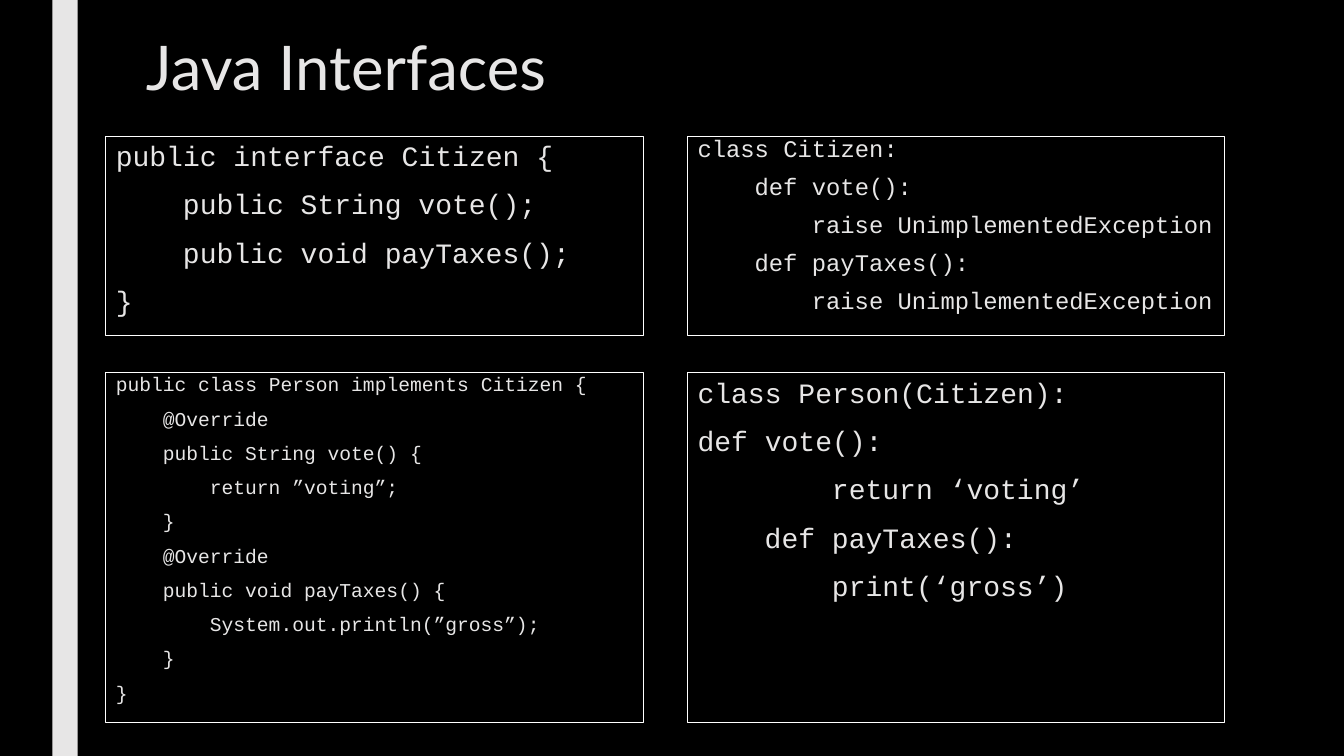
from pptx import Presentation
from pptx.dml.color import RGBColor
from pptx.enum.shapes import MSO_SHAPE
from pptx.enum.text import MSO_ANCHOR, PP_ALIGN
from pptx.util import Inches, Pt

RECTANGLE = MSO_SHAPE.RECTANGLE
TOP = MSO_ANCHOR.TOP
LEFT = PP_ALIGN.LEFT

COLORS = {"background": "000000", "text": "E7E6E6", "border": "FFFFFF"}
TITLE_FONT = "Lato"
CODE_FONT = "Courier New"
CHAR_WIDTH = 0.6  # advance of a monospaced character, in ems

# Grid of code panels
COLUMN_LEFTS = (1.05, 6.82)
PANEL_WIDTH = 5.33
ROWS = ((1.35, 1.98), (3.7, 3.47))  # top, height

JAVA_INTERFACE = """\
public interface Citizen {
    public String vote();
    public void payTaxes();
}"""

JAVA_CLASS = """\
public class Person implements Citizen {
    @Override
    public String vote() {
        return ”voting”;
    }
    @Override
    public void payTaxes() {
        System.out.println(”gross”);
    }
}"""

PYTHON_INTERFACE = """\
class Citizen:
    def vote():
        raise UnimplementedException
    def payTaxes():
        raise UnimplementedException"""

PYTHON_CLASS = """\
class Person(Citizen):
def vote():
        return ‘voting’
    def payTaxes():
        print(‘gross’)"""

# Code, column, row, font size, line spacing
PANELS = (
    (JAVA_INTERFACE, 0, 0, 20, 0.94),
    (JAVA_CLASS, 0, 1, 14, 0.74),
    (PYTHON_INTERFACE, 1, 0, 17, 0.74),
    (PYTHON_CLASS, 1, 1, 20, 0.94),
)


class CodeSlide:
    def __init__(self, presentation):
        self.slide = presentation.slides.add_slide(presentation.slide_layouts[6])
        background = self.slide.background.fill
        background.solid()
        background.fore_color.rgb = self.color("background")

    def color(self, name):
        return RGBColor.from_string(COLORS[name])

    def rectangle(self, left, top, width, height):
        box = self.slide.shapes.add_shape(
            RECTANGLE, Inches(left), Inches(top), Inches(width), Inches(height))
        box.shadow.inherit = False
        return box

    def stripe(self, left, top, width, height):
        stripe = self.rectangle(left, top, width, height)
        stripe.fill.solid()
        stripe.fill.fore_color.rgb = self.color("text")
        stripe.line.fill.background()

    def style(self, paragraph, font, size, spacing):
        paragraph.alignment = LEFT
        paragraph.line_spacing = spacing
        paragraph.font.name = font
        paragraph.font.size = Pt(size)
        paragraph.font.color.rgb = self.color("text")

    def title(self, text, left, top, width, height):
        title = self.slide.shapes.add_textbox(
            Inches(left), Inches(top), Inches(width), Inches(height))
        title.text_frame.word_wrap = True
        paragraph = title.text_frame.paragraphs[0]
        paragraph.text = text
        self.style(paragraph, TITLE_FONT, 44, 0.89)

    def code_panel(self, code, column, row, size, spacing):
        top, height = ROWS[row]
        panel = self.rectangle(COLUMN_LEFTS[column], top, PANEL_WIDTH, height)
        panel.fill.background()
        panel.line.color.rgb = self.color("border")
        panel.line.width = Pt(0.75)
        frame = panel.text_frame
        frame.word_wrap = True
        frame.vertical_anchor = TOP
        for number, line in enumerate(code.splitlines()):
            paragraph = frame.add_paragraph() if number else frame.paragraphs[0]
            statement = line.lstrip()
            paragraph.text = statement
            self.style(paragraph, CODE_FONT, size, spacing)
            paragraph.space_before = Pt(10)
            paragraph.space_after = Pt(2)
            # Code indentation becomes a left margin of the same width
            depth = len(line) - len(statement)
            margin = Pt(depth * CHAR_WIDTH * size)
            paragraph._p.get_or_add_pPr().set("marL", str(margin))


def main():
    presentation = Presentation()
    presentation.slide_width = Inches(13.33)
    presentation.slide_height = Inches(7.5)
    slide = CodeSlide(presentation)

    # Side stripe and heading
    slide.stripe(0.52, 0, 0.25, 7.5)
    slide.title("Java Interfaces", 1.35, 0.33, 10.5, 1.62)

    # Java on the left, Python on the right
    for panel in PANELS:
        slide.code_panel(*panel)

    presentation.save("out.pptx")


if __name__ == "__main__":
    main()
